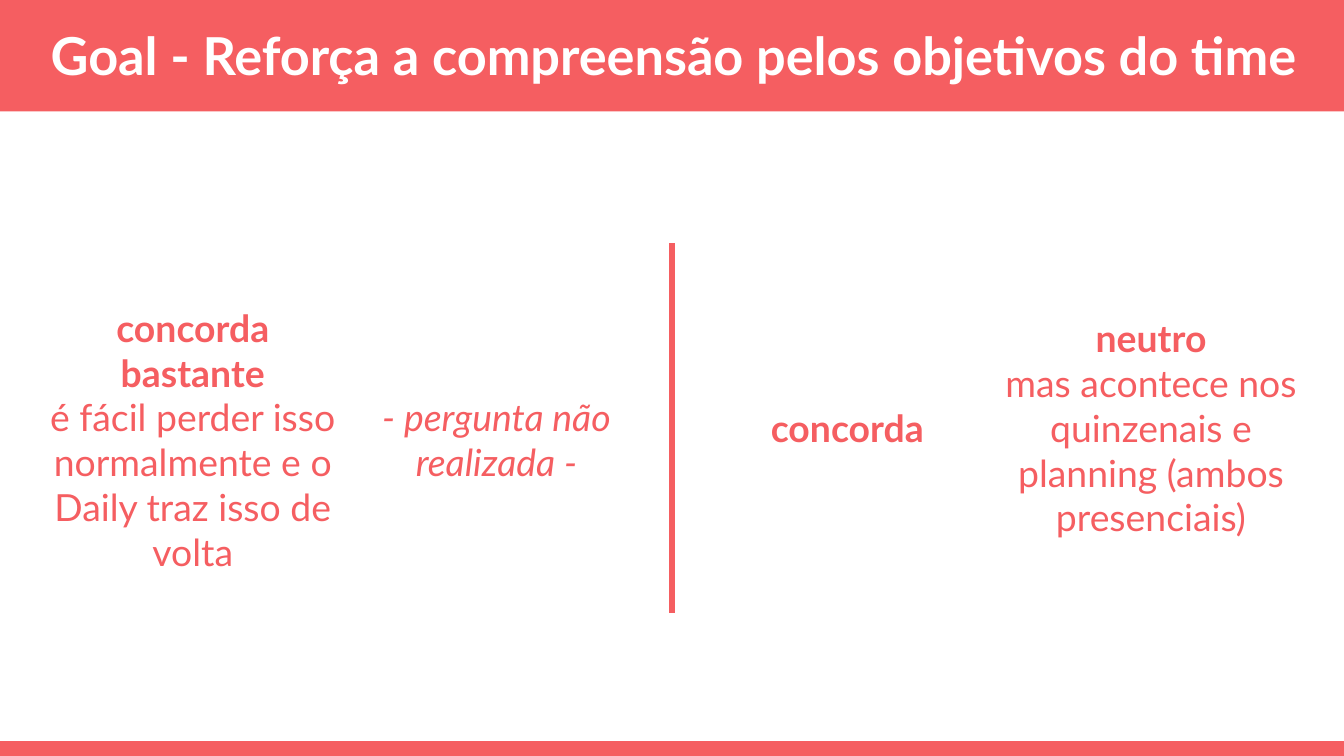
from pptx import Presentation
from pptx.dml.color import RGBColor
from pptx.enum.shapes import MSO_CONNECTOR as Connector, MSO_SHAPE as Shape
from pptx.enum.text import MSO_ANCHOR as Anchor, PP_ALIGN as Align
from pptx.oxml.ns import qn
from pptx.util import Inches, Pt

CORAL = RGBColor(0xF5, 0x5E, 0x61)
WHITE = RGBColor(0xFF, 0xFF, 0xFF)
FONT = "Lato"
WIDTH = 10
HEIGHT = WIDTH * 9 / 16
FOOTER_HEIGHT = 0.11
ANSWER_WIDTH, ANSWER_HEIGHT = 2.43, 2.44
ANSWER_STEP = 2.26

# Each answer is a list of paragraphs: (text, bold, italic)
LEFT_ANSWERS = [
    [("concorda bastante", True, False),
     ("é fácil perder isso normalmente e o Daily traz isso de volta", False, False)],
    [("- pergunta não realizada -", False, True)],
]
RIGHT_ANSWERS = [
    [("concorda", True, False)],
    [("neutro", True, False),
     ("mas acontece nos quinzenais e planning (ambos presenciais)", False, False)],
]


def add_band(page, left, top, width, height):
    band = page.shapes.add_shape(
        Shape.RECTANGLE, Inches(left), Inches(top), Inches(width), Inches(height))
    band.shadow.inherit = False
    band.fill.solid()
    band.fill.fore_color.rgb = CORAL
    band.line.fill.background()


def add_text(page, left, top, width, height, paragraphs, size, color):
    """Add centred text, one (text, bold, italic) entry per paragraph."""
    box = page.shapes.add_textbox(
        Inches(left), Inches(top), Inches(width), Inches(height))
    frame = box.text_frame
    frame.word_wrap = True
    frame.vertical_anchor = Anchor.MIDDLE
    frame.margin_left = frame.margin_right = Inches(0.1)
    frame.margin_top = frame.margin_bottom = Inches(0.1)
    for index, (text, bold, italic) in enumerate(paragraphs):
        para = frame.add_paragraph() if index else frame.paragraphs[0]
        para.alignment = Align.CENTER
        span = para.add_run()
        span.text = text
        span.font.name = FONT
        span.font.size = Pt(size)
        span.font.bold = bold
        span.font.italic = italic
        span.font.color.rgb = color


def add_header(page, left, top, width, height, title):
    add_band(page, left, top, width, height)
    add_text(page, left + 0.02, top + 0.02, width - 0.02, height - 0.03,
             [(title, True, False)], 28, WHITE)


def add_divider(page, x, top, bottom):
    divider = page.shapes.add_connector(
        Connector.STRAIGHT, Inches(x), Inches(bottom), Inches(x), Inches(top))
    divider.line.color.rgb = CORAL
    divider.line.width = Pt(3)
    properties = divider._element.spPr
    properties.append(properties.makeelement(qn("a:effectLst"), {}))


def add_answers(page, left, top, answers):
    """Place answers side by side, starting at the given corner."""
    for column, paragraphs in enumerate(answers):
        add_text(page, left + column * ANSWER_STEP, top,
                 ANSWER_WIDTH, ANSWER_HEIGHT, paragraphs, 20, CORAL)


def main():
    deck = Presentation()
    deck.slide_width, deck.slide_height = Inches(WIDTH), Inches(HEIGHT)
    page = deck.slides.add_slide(deck.slide_layouts[6])
    page.background.fill.solid()
    page.background.fill.fore_color.rgb = WHITE

    add_band(page, 0, HEIGHT - FOOTER_HEIGHT, WIDTH, FOOTER_HEIGHT)
    add_header(page, 0, -0.03, WIDTH, 0.86,
               "Goal - Reforça a compreensão pelos objetivos do time")
    add_divider(page, WIDTH / 2, 1.81, 4.56)
    add_answers(page, 5.09, 1.96, RIGHT_ANSWERS)
    add_answers(page, 0.22, 2.05, LEFT_ANSWERS)
    deck.save("out.pptx")


if __name__ == "__main__":
    main()
